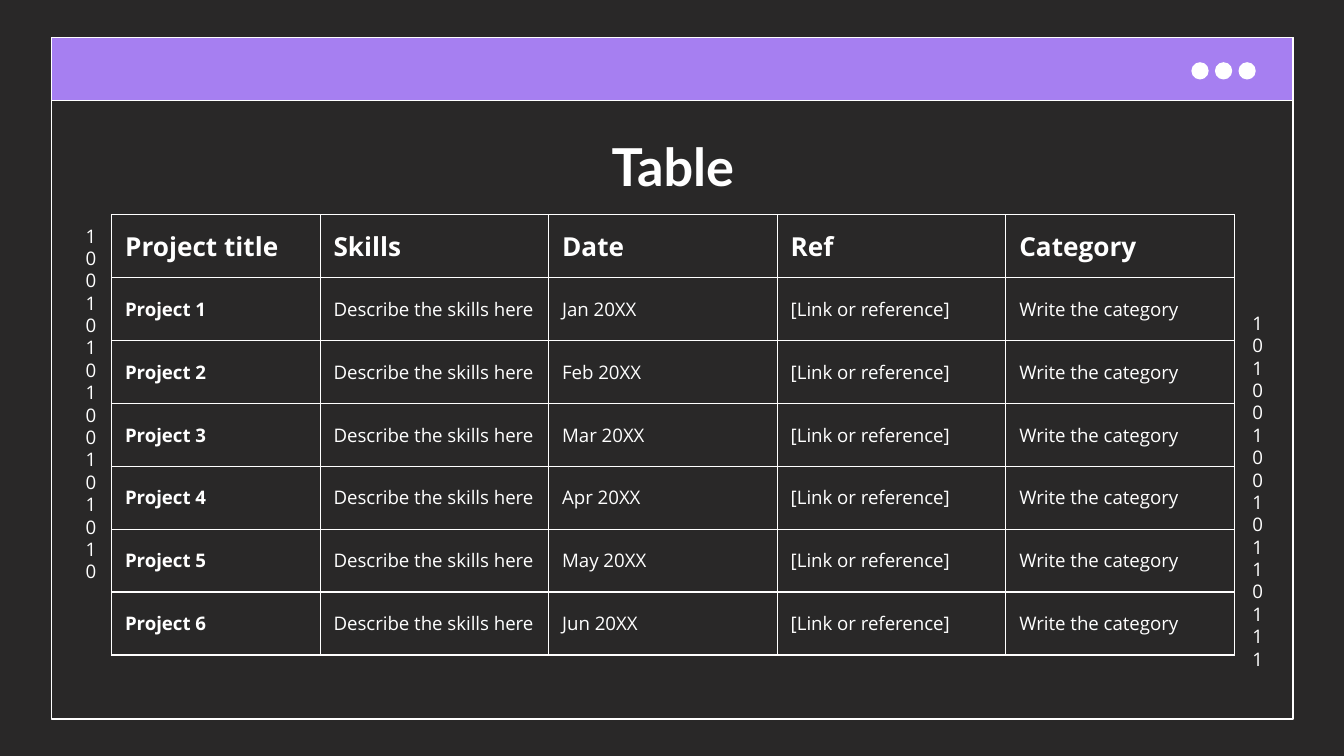
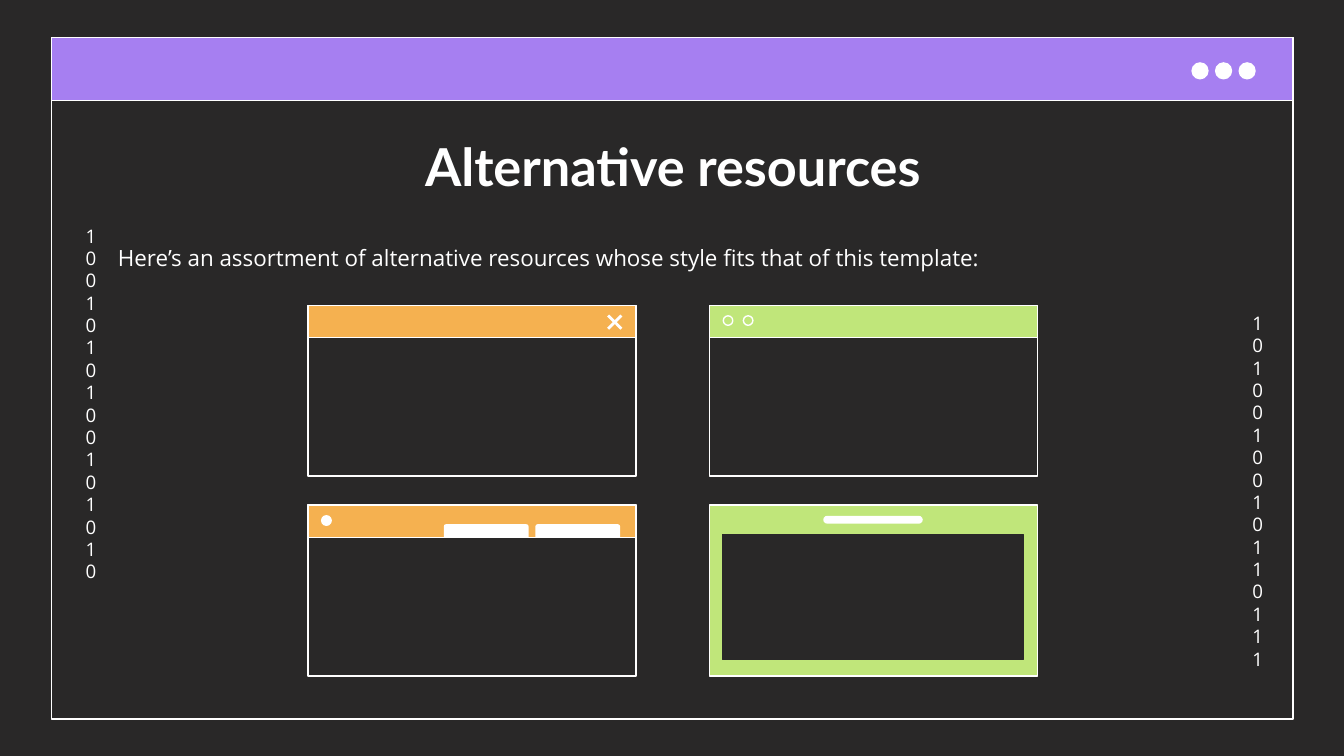
from lxml.etree import SubElement
from pptx import Presentation
from pptx.dml.color import RGBColor
from pptx.enum.shapes import MSO_SHAPE as Kind
from pptx.enum.text import MSO_ANCHOR as Anchor, MSO_AUTO_SIZE as AutoSize, PP_ALIGN as Align
from pptx.oxml.ns import qn
from pptx.util import Cm, Pt

# Content
TABLE_TITLE = "Table"
HEADERS = ["Project title", "Skills", "Date", "Ref", "Category"]
MONTHS = ["Jan", "Feb", "Mar", "Apr", "May", "Jun"]
PROJECTS = [
    [f"Project {number}", "Describe the skills here", f"{month} 20XX",
     "[Link or reference]", "Write the category"]
    for number, month in enumerate(MONTHS, 1)
]
RESOURCES_TITLE = "Alternative resources"
RESOURCES_INTRO = ("Here’s an assortment of alternative resources whose style "
                   "fits that of this template:")
# Digit columns: text, left, top
DIGITS = [("1010010010110111", 23.42, 5.64), ("1001010100101010", 1.37, 3.99)]

# Style
COLORS = {"dark": "292828", "white": "FFFFFF", "purple": "A67FF1",
          "orange": "F5B150", "green": "C0E67A"}
HEAD_FONT, BODY_FONT = "Lato", "Open Sans"
INSET = Cm(0.254)

# Layout in centimetres
FRAME = (0.97, 0.71, 23.47, 12.88)
FRAME_BAR = 1.19
DOT_LEFT, DOT_TOP, DOT_SIZE, DOT_STEP = 22.53, 1.19, 0.3, 0.445
TITLE = (2.01, 2.29, 21.41, 1.6)
INTRO = (1.98, 4.37, 21.44, 1.09)
TABLE_LEFT, TABLE_TOP = 2.11, 4.06
COLUMN_WIDTHS = [3.94] + [4.32] * 4
ROW_HEIGHTS = [1.17] + [1.19] * len(PROJECTS)
WINDOW_LEFT, WINDOW_TOP = 5.82, 5.77
WINDOW_WIDTH, WINDOW_HEIGHT, WINDOW_BAR = 6.2, 3.23, 0.61
WINDOW_STEP_X, WINDOW_STEP_Y = 7.59, 3.78

# Windows in reading order: body fill, bar fill, and parts measured from the
# window corner (shape, place, fill, line, adjustments)
WINDOWS = [
    (None, "orange", [
        (Kind.MATH_MULTIPLY, (5.56, 0.08, 0.48, 0.48), "white", None, [0.108])]),
    (None, "green", [
        (Kind.OVAL, (left, 0.2, 0.18, 0.18), None, "white", [])
        for left in (0.26, 0.64)]),
    (None, "orange", [
        (Kind.OVAL, (0.26, 0.2, 0.18, 0.18), "white", "white", [])] + [
        (Kind.ROUND_2_SAME_RECTANGLE, (left, 0.36, 1.6, 0.25), "white", None, [0.167, 0])
        for left in (2.57, 4.3)]),
    ("green", None, [
        (Kind.RECTANGLE, (0.25, 0.55, 5.68, 2.37), "dark", "dark", []),
        (Kind.ROUNDED_RECTANGLE, (2.15, 0.2, 1.88, 0.15), "white", None, [0.5])]),
]


def color(name):
    return RGBColor.from_string(COLORS[name])


def add_part(shapes, kind, place, fill=None, line="white", adjustments=()):
    part = shapes.add_shape(kind, *map(Cm, place))
    part.shadow.inherit = False
    if fill:
        part.fill.solid()
        part.fill.fore_color.rgb = color(fill)
    else:
        part.fill.background()
    if line:
        part.line.color.rgb = color(line)
        part.line.width = Pt(0.75)
    else:
        part.line.fill.background()
    for index, value in enumerate(adjustments):
        part.adjustments[index] = value


def write(frame, text, size, font=BODY_FONT, bold=False, align=Align.LEFT):
    frame.word_wrap = True
    frame.margin_left = frame.margin_right = INSET
    frame.margin_top = frame.margin_bottom = INSET
    para = frame.paragraphs[0]
    para.text = text
    para.alignment = align
    para.font.name, para.font.size, para.font.bold = font, Pt(size), bold
    para.font.color.rgb = color("white")
    return para


def build_layout(layout, page):
    """Draw the shared frame through a page, then move it to the layout."""
    layout.background.fill.solid()
    layout.background.fill.fore_color.rgb = color("dark")
    for holder in list(layout.placeholders):
        if holder.placeholder_format.idx:
            holder.element.getparent().remove(holder.element)

    browser = page.shapes.add_group_shape()
    add_part(browser.shapes, Kind.RECTANGLE, FRAME)
    add_part(browser.shapes, Kind.RECTANGLE, (*FRAME[:3], FRAME_BAR), "purple")
    for index in range(3):
        left = DOT_LEFT + index * DOT_STEP
        add_part(browser.shapes, Kind.OVAL, (left, DOT_TOP, DOT_SIZE, DOT_SIZE), "white")

    columns = page.shapes.add_group_shape()
    for digits, left, top in DIGITS:
        # The box is narrower than two digits, so each takes its own line
        box = columns.shapes.add_textbox(Cm(left), Cm(top), Cm(0.61), Cm(7.11))
        para = write(box.text_frame, digits, 10, align=Align.CENTER)
        para.line_spacing = Pt(12)

    for group in (browser, columns):
        layout.element.cSld.spTree.append(group.element)


def set_title(page, text):
    title = page.shapes.title
    title.left, title.top, title.width, title.height = map(Cm, TITLE)
    frame = title.text_frame
    write(frame, text, 28, HEAD_FONT, True, Align.CENTER)
    frame.auto_size = AutoSize.NONE
    frame.vertical_anchor = Anchor.TOP


def set_borders(cell):
    properties = cell._tc.get_or_add_tcPr()
    for index, side in enumerate(("lnL", "lnR", "lnT", "lnB")):
        line = properties.makeelement(qn(f"a:{side}"), {"w": str(Pt(0.75))})
        fill = SubElement(line, qn("a:solidFill"))
        SubElement(fill, qn("a:srgbClr"), val=COLORS["white"])
        properties.insert(index, line)


def add_project_table(page):
    rows = [HEADERS] + PROJECTS
    table = page.shapes.add_table(
        len(rows), len(HEADERS), Cm(TABLE_LEFT), Cm(TABLE_TOP),
        Cm(sum(COLUMN_WIDTHS)), Cm(sum(ROW_HEIGHTS))).table
    table.first_row = table.horz_banding = False
    for column, width in zip(table.columns, COLUMN_WIDTHS):
        column.width = Cm(width)
    for row, height in zip(table.rows, ROW_HEIGHTS):
        row.height = Cm(height)
    for r, values in enumerate(rows):
        for c, text in enumerate(values):
            cell = table.cell(r, c)
            header = r == 0
            write(cell.text_frame, text, 14 if header else 10, bold=header or c == 0)
            cell.margin_left = cell.margin_right = INSET
            cell.margin_top = cell.margin_bottom = INSET
            cell.vertical_anchor = Anchor.BOTTOM if header else Anchor.MIDDLE
            cell.fill.background()
            set_borders(cell)


def add_windows(page):
    for index, (body, bar, parts) in enumerate(WINDOWS):
        row, column = divmod(index, 2)
        left = WINDOW_LEFT + column * WINDOW_STEP_X
        top = WINDOW_TOP + row * WINDOW_STEP_Y
        shapes = page.shapes.add_group_shape().shapes
        add_part(shapes, Kind.RECTANGLE, (left, top, WINDOW_WIDTH, WINDOW_HEIGHT), body)
        if bar:
            add_part(shapes, Kind.RECTANGLE, (left, top, WINDOW_WIDTH, WINDOW_BAR), bar)
        for kind, (x, y, width, height), *style in parts:
            add_part(shapes, kind, (left + x, top + y, width, height), *style)


def main():
    deck = Presentation()
    deck.slide_width, deck.slide_height = Cm(25.4), Cm(14.29)
    layout = deck.slide_layouts[5]

    # Table slide
    page = deck.slides.add_slide(layout)
    build_layout(layout, page)
    set_title(page, TABLE_TITLE)
    add_project_table(page)

    # Resources slide
    page = deck.slides.add_slide(layout)
    set_title(page, RESOURCES_TITLE)
    intro = page.shapes.add_textbox(*map(Cm, INTRO))
    write(intro.text_frame, RESOURCES_INTRO, 12)
    add_windows(page)

    deck.save("out.pptx")


if __name__ == "__main__":
    main()
